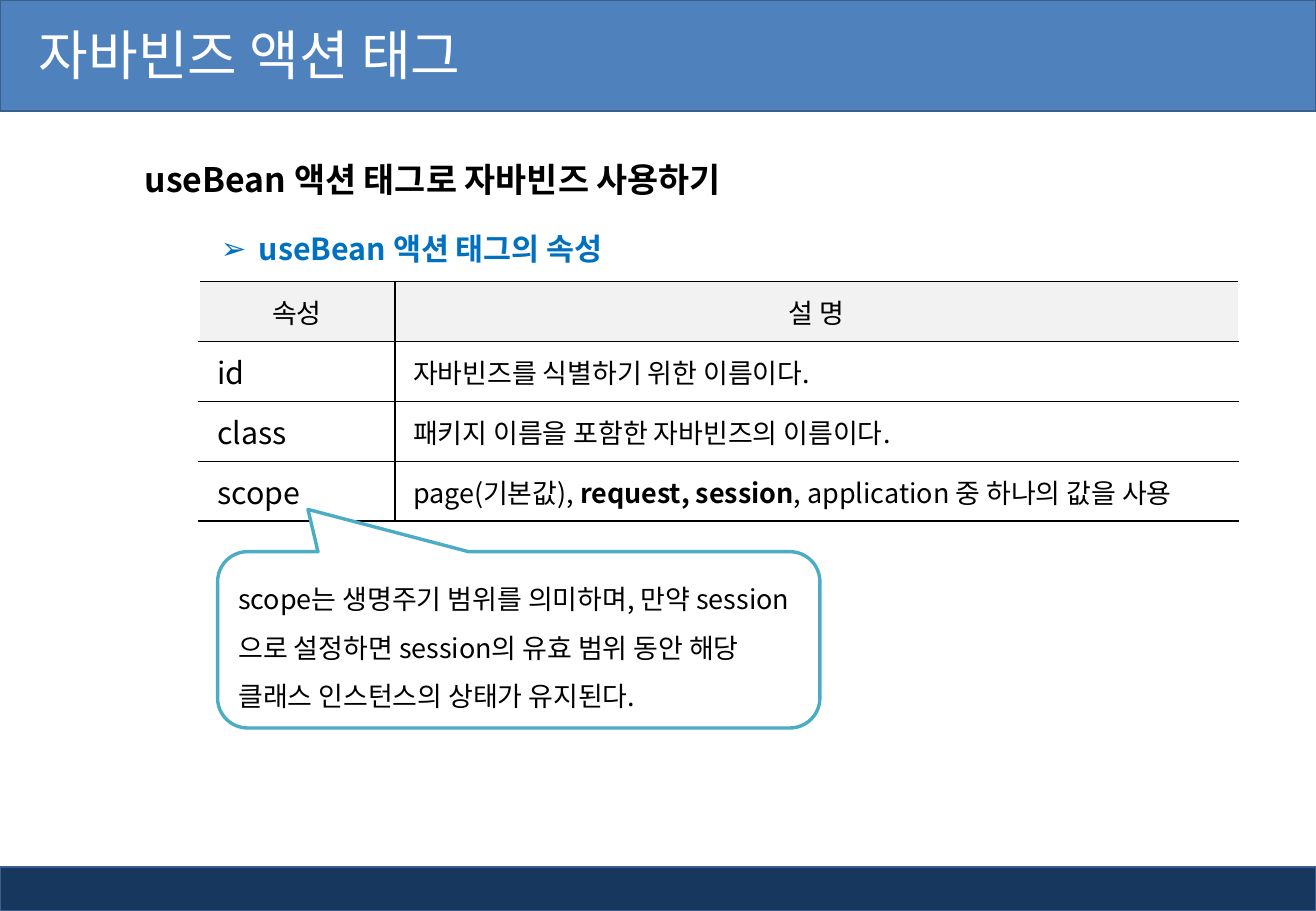
from dataclasses import dataclass
from typing import Any

from lxml.etree import SubElement
from pptx import Presentation
from pptx.dml.color import RGBColor
from pptx.enum.shapes import MSO_SHAPE as Shape
from pptx.enum.text import MSO_ANCHOR as Anchor, MSO_AUTO_SIZE as AutoSize, PP_ALIGN as Align
from pptx.oxml import parse_xml
from pptx.oxml.ns import nsdecls, qn
from pptx.util import Pt

FONT = "Noto Sans CJK KR"
BLACK = RGBColor(0x00, 0x00, 0x00)
WHITE = RGBColor(0xFF, 0xFF, 0xFF)
NAVY = RGBColor(0x17, 0x37, 0x5E)
BLUE = RGBColor(0x4F, 0x81, 0xBD)
BAR_EDGE = RGBColor(0x3A, 0x5F, 0x8C)
ACCENT = RGBColor(0x00, 0x70, 0xC0)
TEAL = RGBColor(0x4B, 0xAC, 0xC6)
GRAY = RGBColor(0xF2, 0xF2, 0xF2)

SLIDE_WIDTH, SLIDE_HEIGHT = 780, 540
COLUMN_WIDTHS = (116, 500)
ROW_HEIGHT = 35.5


@dataclass
class Area:
    left: float
    top: float
    width: float
    height: float

    def lengths(self) -> list[Pt]:
        return [Pt(value) for value in (self.left, self.top, self.width, self.height)]


@dataclass
class Span:
    text: str
    size: float = 16
    color: RGBColor = BLACK
    bold: bool = False


@dataclass
class Bar:
    area: Area
    fill: RGBColor


@dataclass
class Attribute:
    name: str
    description: list[Span]


BARS = [
    Bar(Area(0, 514, SLIDE_WIDTH, 26), NAVY),
    Bar(Area(0, 0, SLIDE_WIDTH, 66), BLUE),
]
ATTRIBUTES = [
    Attribute("id", [Span("자바빈즈를 식별하기 위한 이름이다.")]),
    Attribute("class", [Span("패키지 이름을 포함한 자바빈즈의 이름이다.")]),
    Attribute("scope", [
        Span("page(기본값), "),
        Span("request, session", bold=True),
        Span(", application 중 하나의 값을 사용"),
    ]),
]
CALLOUT_TEXT = (
    "scope는 생명주기 범위를 의미하며, 만약 session으로 설정하면 "
    "session의 유효 범위 동안 해당 클래스 인스턴스의 상태가 유지된다."
)


def apply(target: Any, formats: dict[str, Any]) -> None:
    for name, value in formats.items():
        setattr(target, name, value)


def write(frame: Any, spans: list[Span], align: Align = Align.LEFT, spacing: float = 1) -> Any:
    para = frame.paragraphs[0]
    apply(para, {"alignment": align, "line_spacing": spacing, "space_before": Pt(0)})
    for span in spans:
        run = para.add_run()
        run.text = span.text
        apply(run.font, {"name": FONT, "size": Pt(span.size), "bold": span.bold})
        run.font.color.rgb = span.color
        SubElement(run.font._element, qn("a:ea"), typeface=FONT)
    return para


def set_frame(frame: Any, anchor: Anchor, margin_left: float = 7.2) -> None:
    apply(frame, {
        "word_wrap": True,
        "auto_size": AutoSize.NONE,
        "vertical_anchor": anchor,
        "margin_left": Pt(margin_left),
    })


def place(box: Any, area: Area) -> None:
    apply(box, dict(zip(("left", "top", "width", "height"), area.lengths())))


def set_bullet(para: Any, indent: float = 0, mark: str = "") -> None:
    properties = para._p.get_or_add_pPr()
    properties.set("marL", str(Pt(indent)))
    properties.set("indent", str(Pt(-indent)))
    if mark:
        SubElement(properties, qn("a:buChar"), char=mark)
    else:
        SubElement(properties, qn("a:buNone"))


def add_shape(page: Any, kind: Shape, area: Area, fill: RGBColor, edge: RGBColor, weight: float) -> Any:
    shape = page.shapes.add_shape(kind, *area.lengths())
    shape.shadow.inherit = False
    shape.fill.solid()
    shape.fill.fore_color.rgb = fill
    shape.line.color.rgb = edge
    shape.line.width = Pt(weight)
    return shape


def format_cell(cell: Any, fill: RGBColor, sides: str) -> None:
    cell.fill.solid()
    cell.fill.fore_color.rgb = fill
    cell.vertical_anchor = Anchor.MIDDLE
    for position, side in enumerate(sides):
        border = parse_xml(
            f'<a:ln{side} {nsdecls("a")} w="{Pt(1)}"><a:solidFill>'
            f'<a:srgbClr val="{BLACK}"/></a:solidFill></a:ln{side}>'
        )
        cell._tc.get_or_add_tcPr().insert(position, border)


def add_attribute_table(page: Any) -> None:
    count = len(ATTRIBUTES) + 1
    area = Area(118, 167, sum(COLUMN_WIDTHS), ROW_HEIGHT * count)
    table = page.shapes.add_table(count, len(COLUMN_WIDTHS), *area.lengths()).table
    apply(table, {"first_row": False, "horz_banding": False})
    for column, width in zip(table.columns, COLUMN_WIDTHS):
        column.width = Pt(width)
    rows = [([Span("속성")], [Span("설 명")])]
    rows += [([Span(item.name, 18)], item.description) for item in ATTRIBUTES]
    for row_index, row in enumerate(rows):
        table.rows[row_index].height = Pt(ROW_HEIGHT)
        header = row_index == 0
        for column_index, spans in enumerate(row):
            cell = table.cell(row_index, column_index)
            format_cell(cell, GRAY if header else WHITE, ("RTB", "LTB")[column_index])
            if not header:
                cell.margin_left = Pt(10.8)
            write(cell.text_frame, spans, Align.CENTER if header else Align.LEFT)


def add_callout(page: Any) -> None:
    callout = add_shape(
        page, Shape.ROUNDED_RECTANGULAR_CALLOUT, Area(129, 327, 357, 104.5), WHITE, TEAL, 2
    )
    for index, value in enumerate((-0.35, -0.74, 0.17)):
        callout.adjustments[index] = value
    set_frame(callout.text_frame, Anchor.TOP)
    write(callout.text_frame, [Span(CALLOUT_TEXT)], spacing=1.5)


def main() -> None:
    deck = Presentation()
    apply(deck, {"slide_width": Pt(SLIDE_WIDTH), "slide_height": Pt(SLIDE_HEIGHT)})
    page = deck.slides.add_slide(deck.slide_layouts.get_by_name("Two Content"))
    title, heading, subheading = page.placeholders

    for bar in BARS:
        shape = add_shape(page, Shape.RECTANGLE, bar.area, bar.fill, BAR_EDGE, 1)
        title.element.addprevious(shape.element)

    place(title, Area(0, -2, 629, 68))
    set_frame(title.text_frame, Anchor.MIDDLE, 23)
    write(title.text_frame, [Span("자바빈즈 액션 태그", 32, WHITE)])

    place(heading, Area(78.5, 78.5, 686, 39))
    set_frame(heading.text_frame, Anchor.TOP)
    spans = [Span("useBean 액션 태그로 자바빈즈 사용하기", 20, bold=True)]
    set_bullet(write(heading.text_frame, spans, spacing=1.5))

    place(subheading, Area(105, 133, 278, 29))
    set_frame(subheading.text_frame, Anchor.MIDDLE)
    spans = [Span("useBean 액션 태그의 속성", 18, ACCENT, True)]
    set_bullet(write(subheading.text_frame, spans, Align.CENTER), 22.5, "➢")

    add_attribute_table(page)
    add_callout(page)
    deck.save("out.pptx")


if __name__ == "__main__":
    main()
